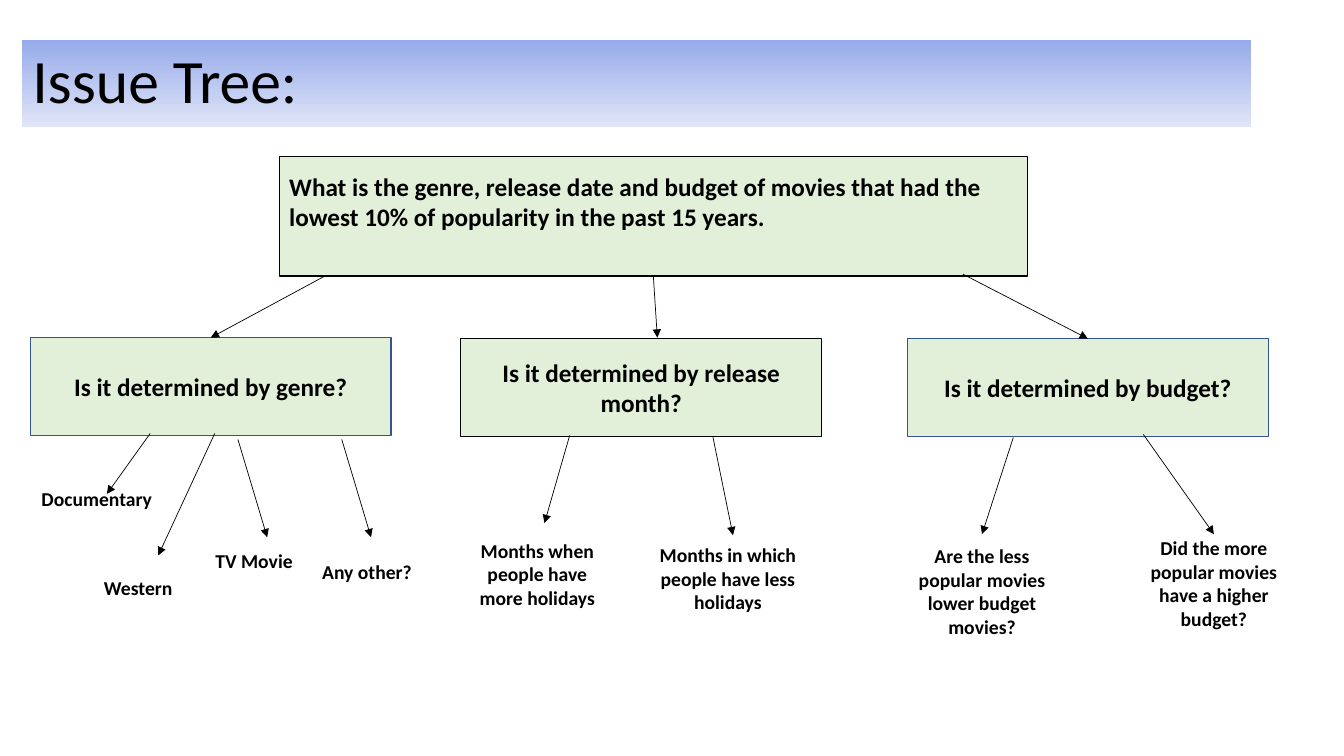
from dataclasses import dataclass
from typing import Optional

from lxml.etree import SubElement
from pptx import Presentation
from pptx.dml.color import RGBColor
from pptx.enum.shapes import MSO_CONNECTOR as Line, MSO_SHAPE as Preset
from pptx.enum.text import MSO_ANCHOR as Anchor, PP_ALIGN as Align
from pptx.oxml.ns import qn
from pptx.util import Emu, Pt

PX = 9144  # 100 px to the inch


@dataclass(frozen=True)
class Theme:
    font: str = "Calibri"
    ink: str = "000000"
    paper: str = "FFFFFF"
    green: str = "E2F0D9"
    blue_edge: str = "325491"
    banner_top: str = "96ABEA"
    banner_bottom: str = "E0E5F7"
    title_size: int = 44
    box_size: int = 18
    leaf_size: int = 14
    box_edge: float = 1
    arrow_width: float = 0.5


THEME = Theme()


@dataclass(frozen=True)
class Box:
    text: str
    left: int
    top: int
    width: int
    height: int
    fill: str = THEME.paper
    edge: Optional[str] = None
    size: int = THEME.leaf_size
    align: Align = Align.CENTER
    bottom_inset: int = 5


@dataclass(frozen=True)
class Arrow:
    """Runs from one point to another; source and target name joined boxes."""
    start: tuple[int, int]
    end: tuple[int, int]
    source: Optional[str] = None
    target: Optional[str] = None


def branch(text: str, left: int, top: int, edge: str) -> Box:
    return Box(text, left, top, 358, 97, THEME.green, edge, THEME.box_size)


QUESTION = Box(
    "What is the genre, release date and budget of movies that had the "
    "lowest 10% of popularity in the past 15 years.",
    277, 155, 742, 119, THEME.green, THEME.ink, THEME.box_size, Align.LEFT, 35)
GENRE = branch("Is it determined by genre?", 30, 335, THEME.blue_edge)
MONTH = branch("Is it determined by release month?", 457, 336, THEME.ink)
BUDGET = branch("Is it determined by budget?", 900, 336, THEME.blue_edge)
LOWER = Box("Are the less popular movies lower budget movies?", 892, 530, 164, 113)
HIGHER = Box("Did the more popular movies have a higher budget?", 1122, 530, 164, 97)

BOXES = [
    QUESTION, GENRE, MONTH, BUDGET,
    Box("Western", 55, 548, 164, 70),
    Box("TV Movie", 191, 530, 122, 53),
    Box("Documentary", 14, 460, 164, 70),
    Box("Any other?", 303, 535, 122, 65),
    Box("Months when people have more holidays", 451, 530, 164, 79),
    Box("Months in which people have less holidays", 640, 539, 164, 70),
    LOWER, HIGHER,
]

ARROWS = [
    Arrow((322, 274), (209, 335), target=GENRE.text),
    Arrow((648, 274), (652, 335), source=QUESTION.text),
    Arrow((955, 272), (1079, 336), target=BUDGET.text),
    Arrow((149, 430), (106, 490)),
    Arrow((213, 430), (157, 551)),
    Arrow((236, 436), (265, 533)),
    Arrow((339, 436), (368, 533)),
    Arrow((565, 432), (540, 519)),
    Arrow((707, 433), (727, 531)),
    Arrow((1005, 434), (974, 530), target=LOWER.text),
    Arrow((1134, 431), (1204, 530), target=HIGHER.text),
]


def px(*lengths: int) -> list[Emu]:
    return [Emu(length * PX) for length in lengths]


def rgb(code: str) -> RGBColor:
    return RGBColor.from_string(code)


def write(shape, text: str, size: int, align: Align, bold: bool):
    frame = shape.text_frame
    frame.word_wrap = True
    frame.vertical_anchor = Anchor.MIDDLE
    para = frame.paragraphs[0]
    para.text = text
    para.alignment = align
    para.font.name = THEME.font
    para.font.size = Pt(size)
    para.font.bold = bold
    para.font.color.rgb = rgb(THEME.ink)
    return para


def add_title(page, text: str) -> None:
    title = page.shapes.title
    title.left, title.top, title.width, title.height = px(22, 40, 1219, 86)
    title.fill.gradient()
    title.fill.gradient_angle = 270
    for stop, code in zip(title.fill.gradient_stops,
                          (THEME.banner_top, THEME.banner_bottom)):
        stop.color.rgb = rgb(code)
    write(title, text, THEME.title_size, Align.LEFT, False).line_spacing = 0.9


def add_box(page, box: Box):
    shape = page.shapes.add_shape(
        Preset.RECTANGLE, *px(box.left, box.top, box.width, box.height))
    shape.shadow.inherit = False
    shape.fill.solid()
    shape.fill.fore_color.rgb = rgb(box.fill)
    if box.edge:
        shape.line.color.rgb = rgb(box.edge)
        shape.line.width = Pt(THEME.box_edge)
    else:
        shape.line.fill.background()
    write(shape, box.text, box.size, box.align, True)
    shape.text_frame.margin_bottom = Emu(box.bottom_inset * PX)
    return shape


def add_arrow(page, arrow: Arrow, shapes: dict) -> None:
    line = page.shapes.add_connector(
        Line.STRAIGHT, *px(*arrow.start, *arrow.end))
    if arrow.source:
        line.begin_connect(shapes[arrow.source], 2)
    if arrow.target:
        line.end_connect(shapes[arrow.target], 0)
    line.line.color.rgb = rgb(THEME.ink)
    line.line.width = Pt(THEME.arrow_width)
    properties = line._element.spPr
    SubElement(properties.find(qn("a:ln")), qn("a:tailEnd"), type="triangle")
    SubElement(properties, qn("a:effectLst"))


def main() -> None:
    deck = Presentation()
    deck.slide_width, deck.slide_height = px(1333, 750)
    page = deck.slides.add_slide(deck.slide_layouts[5])
    add_title(page, "Issue Tree:")
    shapes = {box.text: add_box(page, box) for box in BOXES}
    for arrow in ARROWS:
        add_arrow(page, arrow, shapes)
    deck.save("out.pptx")


if __name__ == "__main__":
    main()
